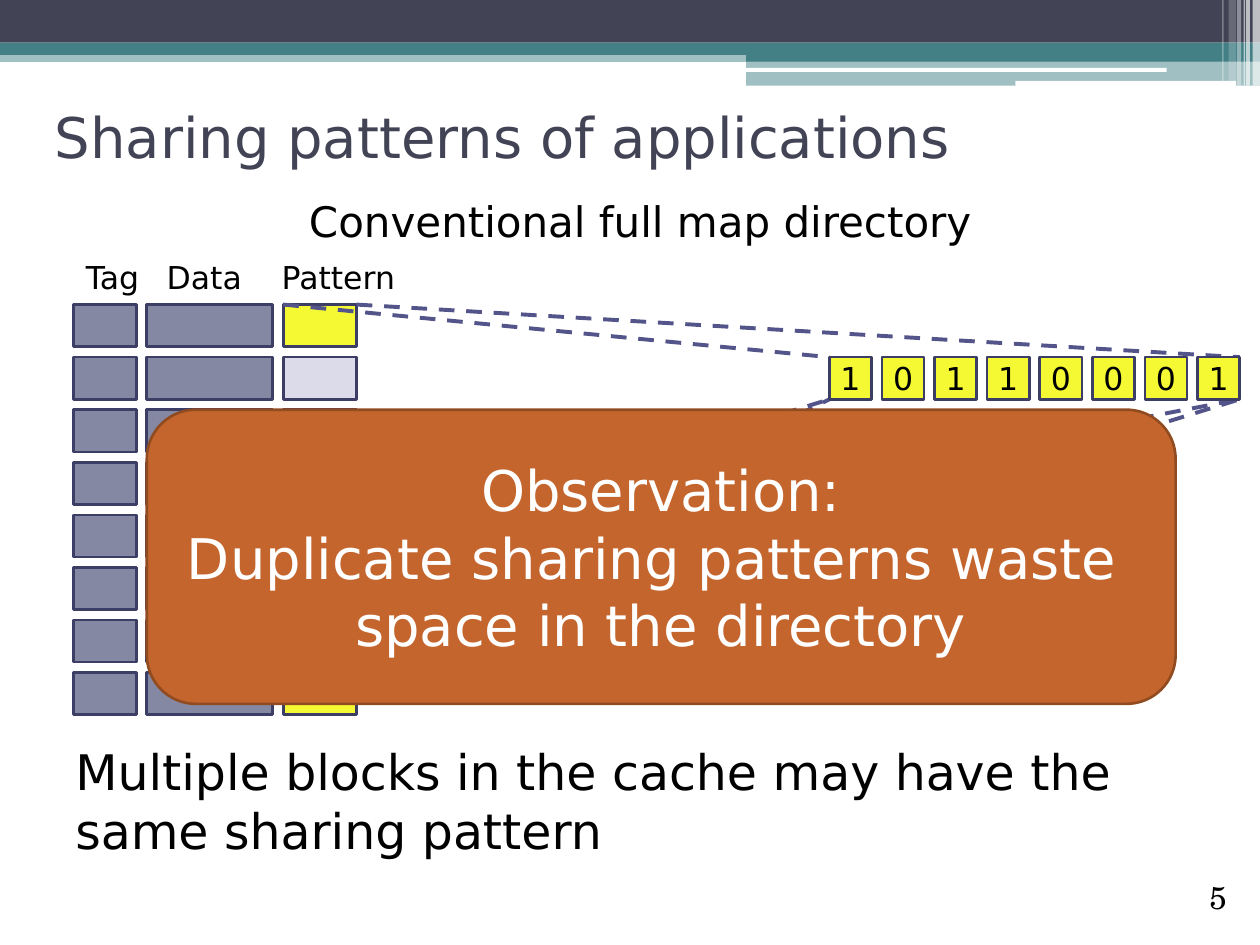
from lxml.etree import SubElement
from pptx import Presentation
from pptx.dml.color import RGBColor
from pptx.enum.dml import MSO_LINE
from pptx.enum.shapes import MSO_CONNECTOR, MSO_SHAPE
from pptx.enum.text import MSO_ANCHOR as Anchor, MSO_AUTO_SIZE, PP_ALIGN as Align
from pptx.oxml.ns import qn
from pptx.util import Cm, Pt

NAVY = RGBColor(0x42, 0x44, 0x56)
TEAL = RGBColor(0x43, 0x80, 0x86)
WHITE = RGBColor(0xFF, 0xFF, 0xFF)
BLACK = RGBColor(0, 0, 0)
SLATE = RGBColor(0x85, 0x88, 0xA2)
OUTLINE = RGBColor(0x3D, 0x3E, 0x66)
YELLOW = RGBColor(0xF4, 0xF9, 0x33)
LAVENDER = RGBColor(0xDB, 0xDB, 0xE9)
INDIGO = RGBColor(0x53, 0x54, 0x8A)
ORANGE = RGBColor(0xC4, 0x65, 0x2D)
BROWN = RGBColor(0x91, 0x4B, 0x21)

BODY_FONT = "DejaVu Sans"
NUMBER_FONT = "TeX Gyre Schola"

# Cache grid, in centimetres
PITCH = 1.06
CELL = 0.85
ROWS = 8
COLUMNS = {"tag": (0, 1.27), "data": (1.48, 2.54), "pattern": (4.23, 1.48)}
PATTERN_FILLS = {0: YELLOW, 1: LAVENDER, 2: LAVENDER, 7: YELLOW}
SHARED_ROWS = (0, 5, 7)
BITS = "10110001"


def cm_box(box):
    return [Cm(value) for value in box]


def write(shape, lines, size, color=BLACK, font=BODY_FONT, align=Align.LEFT, **frame_format):
    """Fill the shape with one paragraph per line."""
    frame = shape.text_frame
    for name, value in {"word_wrap": True, **frame_format}.items():
        setattr(frame, name, value)
    frame.text = "\n".join(lines)
    for paragraph in frame.paragraphs:
        paragraph.alignment = align
        for name, value in {"size": Pt(size), "name": font}.items():
            setattr(paragraph.font, name, value)
        paragraph.font.color.rgb = color


def add_text(slide, box, text, size, **text_format):
    shape = slide.shapes.add_textbox(*cm_box(box))
    write(shape, [text], size, **text_format)
    return shape


def add_block(slide, box, fill, line=None, kind=MSO_SHAPE.RECTANGLE, opacity=100):
    shape = slide.shapes.add_shape(kind, *cm_box(box))
    shape.shadow.inherit = False
    shape.fill.solid()
    shape.fill.fore_color.rgb = fill
    if opacity < 100:
        color = shape.fill._xPr.find(qn("a:solidFill"))[0]
        SubElement(color, qn("a:alpha"), val=str(opacity * 1000))
    if line is None:
        shape.line.fill.background()
    else:
        shape.line.color.rgb = line
        shape.line.width = Pt(1.5)
    return shape


def add_dashed_line(slide, start, end):
    connector = slide.shapes.add_connector(MSO_CONNECTOR.STRAIGHT, *cm_box(start + end))
    connector.line.color.rgb = INDIGO
    connector.line.width = Pt(2.25)
    connector.line.dash_style = MSO_LINE.DASH
    SubElement(connector._element.spPr, qn("a:effectLst"))


def add_header(slide, width):
    """Draw the layered bands and the light stripes at the right edge."""
    step = 15.04
    for left, top, height, color, opacity in (
        (0, 1.02, 0.23, TEAL, 50),
        (0, 0, 0.86, NAVY, 100),
        (0, 0.86, 0.25, TEAL, 100),
        (step, 0.99, 0.25, TEAL, 100),
        (step, 1.22, 0.51, TEAL, 50),
    ):
        add_block(slide, (left, top, width - left, height), color, opacity=opacity)
    for box in ((15.01, 1.37, 8.51, 0.08), (20.47, 1.63, 4.45, 0.1)):
        add_block(slide, box, WHITE, kind=MSO_SHAPE.ROUNDED_RECTANGLE)
    for left, stripe, height, opacity in (
        (25.25, 0.15, 1.73, 65),
        (25.12, 0.08, 1.73, 65),
        (25.07, 0.03, 1.73, 60),
        (24.94, 0.08, 1.73, 40),
        (24.77, 0.15, 1.63, 20),
        (24.64, 0.03, 1.63, 30),
    ):
        add_block(slide, (left, 0, stripe, height), WHITE, opacity=opacity)


def place_title(slide, box, text):
    title = slide.shapes.title
    for name, value in zip(("left", "top", "width", "height"), cm_box(box)):
        setattr(title, name, value)
    write(title, [text], 32, NAVY, vertical_anchor=Anchor.MIDDLE, auto_size=MSO_AUTO_SIZE.NONE)


def add_column_labels(slide, box):
    labels = add_text(slide, box, "Tag\tData\tPattern", 18)
    properties = labels.text_frame.paragraphs[0]._p.get_or_add_pPr()
    tab_list = properties.makeelement(qn("a:tabLst"))
    properties.insert(0, tab_list)
    for position in (1.63, 3.95):
        SubElement(tab_list, qn("a:tab"), pos=str(Cm(position)), algn="l")


def add_cache(slide, left, top):
    for row in range(ROWS):
        for name, (offset, width) in COLUMNS.items():
            fill = PATTERN_FILLS.get(row) if name == "pattern" else SLATE
            if fill is not None:
                add_block(slide, (left + offset, top + row * PITCH, width, CELL), fill, OUTLINE)


def add_links(slide, cache_left, cache_top, bits_left, bits_top):
    """Join the corners of each shared pattern to the ends of the bit vector."""
    offset, width = COLUMNS["pattern"]
    bits_width = (len(BITS) - 1) * PITCH + CELL
    for row in SHARED_ROWS:
        start_y = cache_top + row * PITCH
        end_y = bits_top if start_y < bits_top else bits_top + CELL
        for start_shift, end_shift in ((0, 0), (width, bits_width)):
            add_dashed_line(slide, (cache_left + offset + start_shift, start_y),
                            (bits_left + end_shift, end_y))


def add_bit_vector(slide, left, top):
    margins = dict.fromkeys(("margin_left", "margin_right", "margin_top", "margin_bottom"), 0)
    for index, bit in enumerate(BITS):
        cell = add_block(slide, (left + index * PITCH, top, CELL, CELL), YELLOW, OUTLINE)
        write(cell, [bit], 18, align=Align.CENTER, vertical_anchor=Anchor.MIDDLE, **margins)


def add_observation(slide, box):
    callout = add_block(slide, box, ORANGE, BROWN, MSO_SHAPE.ROUNDED_RECTANGLE)
    lines = ["Observation:", "Duplicate sharing patterns waste ", "space in the directory"]
    write(callout, lines, 32, WHITE, align=Align.CENTER, vertical_anchor=Anchor.MIDDLE)


def main():
    presentation = Presentation()
    presentation.slide_width, presentation.slide_height = Cm(25.4), Cm(19.05)
    slide = presentation.slides.add_slide(presentation.slide_layouts[5])
    cache = (1.48, 6.14)
    bits = (16.72, 7.2)

    add_header(slide, 25.4)
    place_title(slide, (0.85, 1.27, 22.86, 2.96), "Sharing patterns of applications")
    add_text(slide, (1.27, 3.81, 23.28, 1.28), "Conventional full map directory", 24,
             align=Align.CENTER)
    add_cache(slide, *cache)
    add_links(slide, *cache, *bits)
    add_text(slide, (1.27, 14.82, 23.5, 3.43),
             "Multiple blocks in the cache may have the same sharing pattern", 28)
    add_bit_vector(slide, *bits)
    add_text(slide, (22.86, 17.57, 2.12, 1.02), "5", 18, font=NUMBER_FONT,
             align=Align.RIGHT, vertical_anchor=Anchor.BOTTOM)
    add_column_labels(slide, (1.48, 5.08, 7.62, 1.02))
    add_observation(slide, (2.96, 8.26, 20.74, 5.93))
    presentation.save("out.pptx")


if __name__ == "__main__":
    main()
